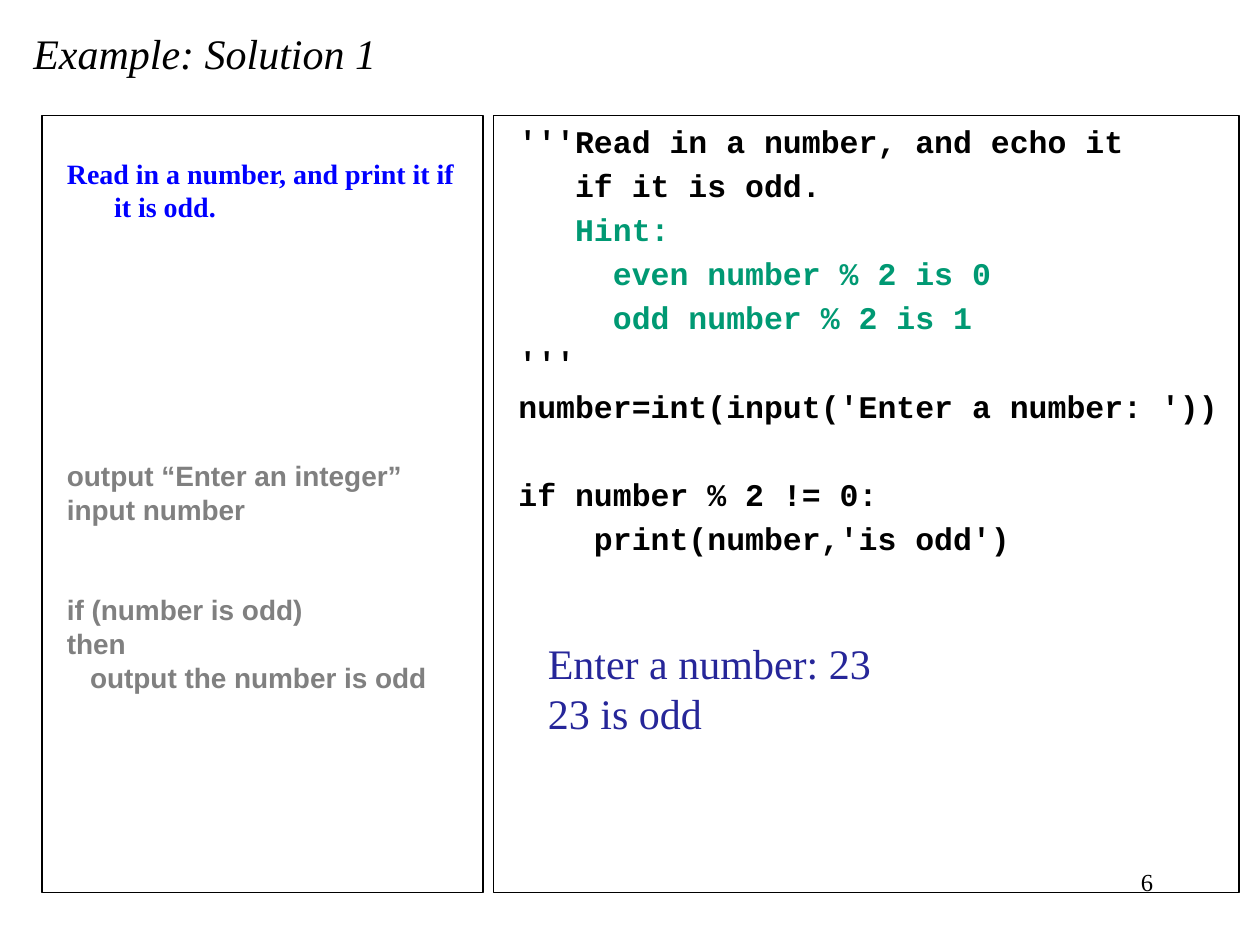
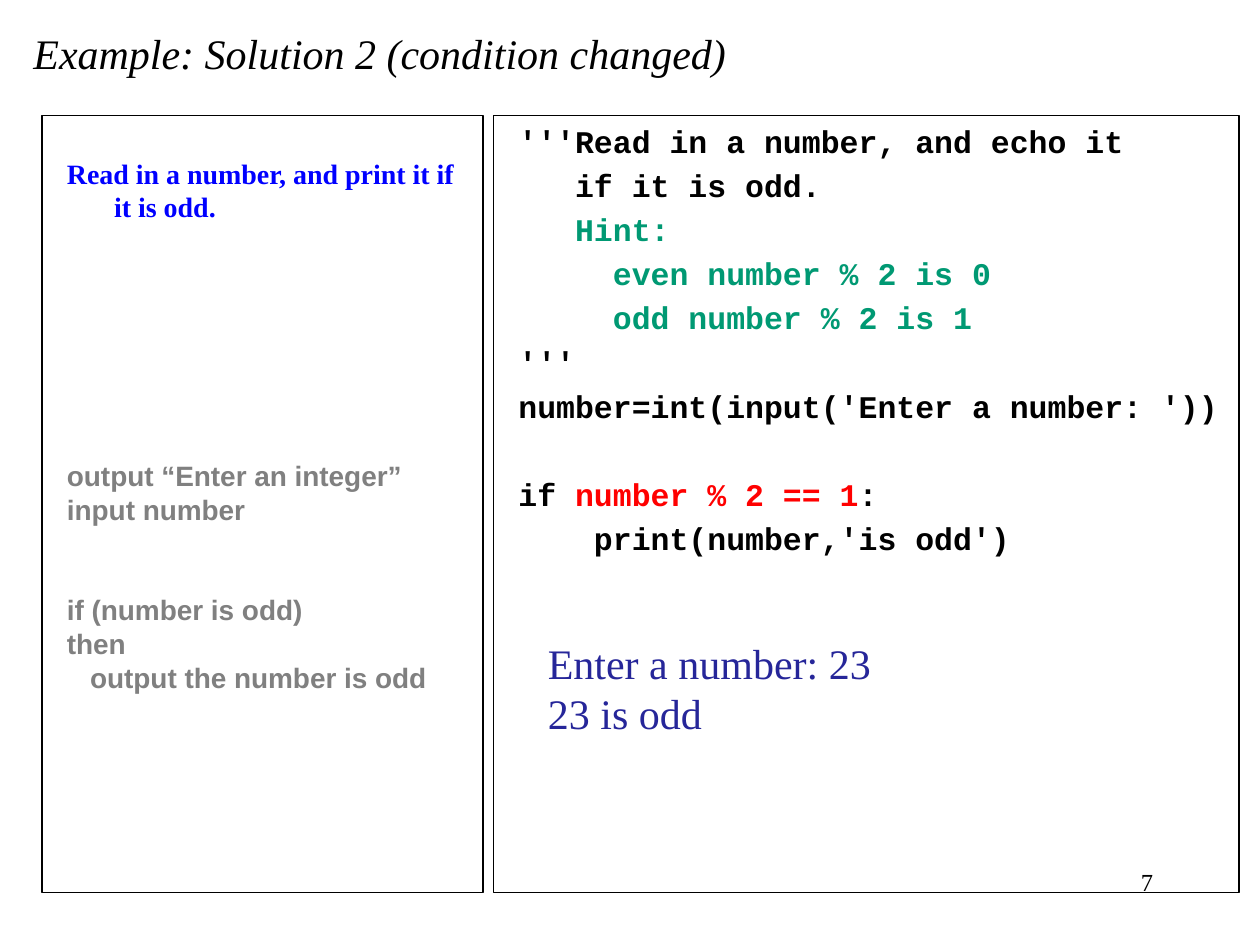
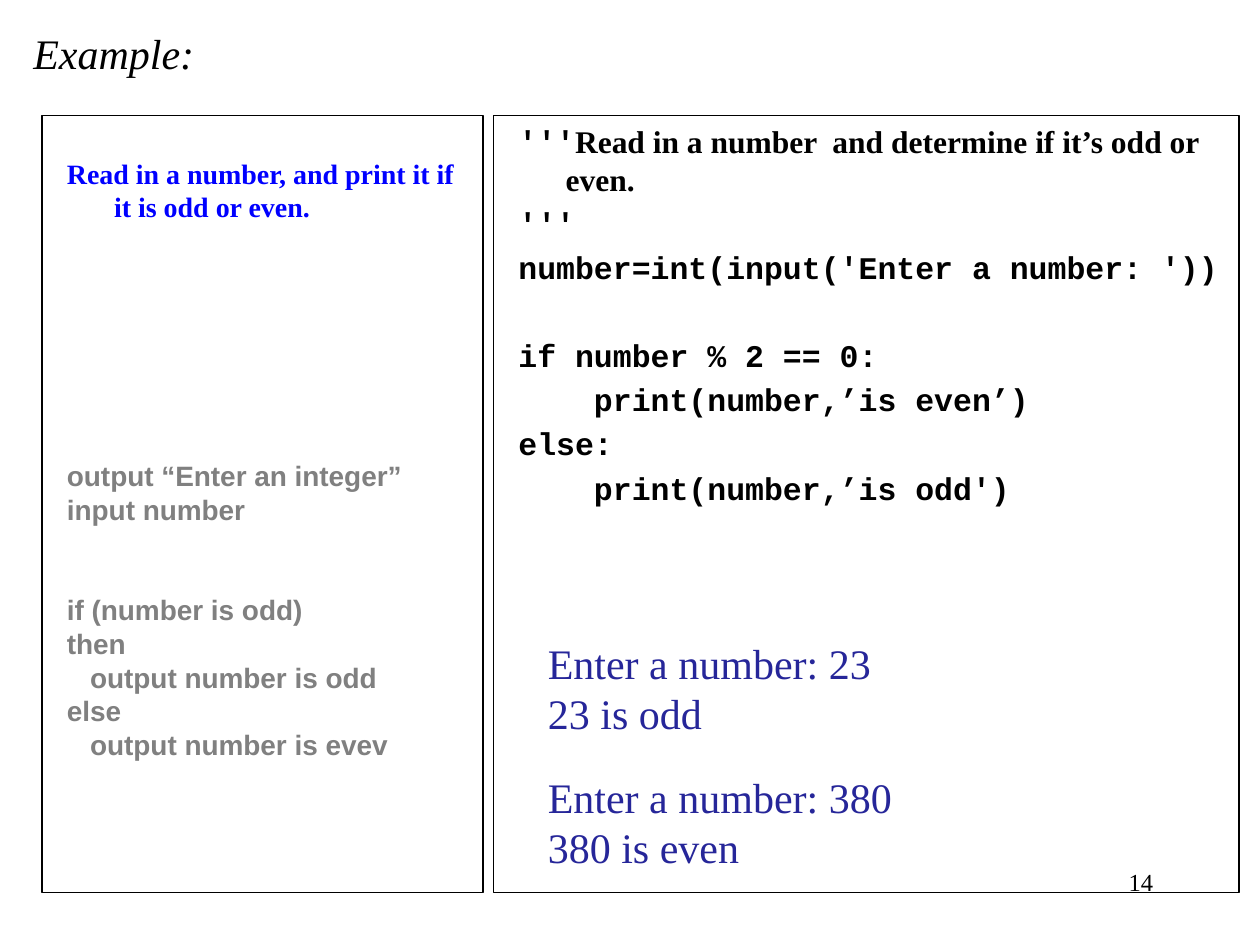
from dataclasses import dataclass
from typing import NamedTuple

from pptx import Presentation
from pptx.dml.color import RGBColor
from pptx.enum.shapes import MSO_SHAPE
from pptx.enum.text import MSO_ANCHOR, PP_ALIGN
from pptx.util import Pt

PX = 9525  # EMU in one px, 96 px to the inch


@dataclass(frozen=True)
class Theme:
    serif: str = "Times New Roman"
    sans: str = "Arial"
    mono: str = "Courier New"
    black: str = "000000"
    blue: str = "0000FF"
    navy: str = "262699"
    green: str = "009973"
    red: str = "FF0000"
    gray: str = "808080"
    big: int = 24
    code: int = 18
    task: int = 16
    small: int = 14
    lead: float = 1.2  # line height as a share of type size
    space: float = 0.2  # gap above a code line as a share of type size


T = Theme()


class Box(NamedTuple):
    left: int
    top: int
    width: int
    height: int


class Run(NamedTuple):
    text: str
    color: str = T.black
    font: str = T.mono


class Line(NamedTuple):
    runs: list[Run]
    skip: int = 0  # empty lines left above


class Page(NamedTuple):
    number: int
    title: str
    width: int
    goal: str
    steps: list[str]
    code: list[Line]
    shows: list[list[str]]


NUMBER = Box(688, 656, 200, 48)
TASK = Box(32, 88, 336, 592)
CODE = Box(376, 88, 568, 592)
TITLE = Box(16, 16, 472, 48)
SHOW = Box(408, 481, 480, 87)
SHOW_STEP = 102
HANG = 36
PAD = 5
TASK_PAD = 31
SIDE_PAD = 19


def write(para, text: str, *, size: int, font: str = T.serif, color: str = T.black,
          bold: bool = False, italic: bool = False) -> None:
    run = para.add_run()
    run.text = text
    face = run.font
    face.name, face.size = font, Pt(size)
    face.bold, face.italic = bold, italic
    face.color.rgb = RGBColor.from_string(color)


def place(box: Box) -> list[int]:
    return [side * PX for side in box]


def label(slide, box: Box, lines: list[str], align=PP_ALIGN.LEFT, **form) -> None:
    frame = slide.shapes.add_textbox(*place(box)).text_frame
    frame.word_wrap = True
    for i, text in enumerate(lines):
        para = frame.paragraphs[0] if i == 0 else frame.add_paragraph()
        para.alignment = align
        write(para, text, **form)


def panel(slide, box: Box, lines: list[Line], size: int, top: int, space: float = 0) -> None:
    """Draw an outlined box of bold lines with hanging indents."""
    shape = slide.shapes.add_shape(MSO_SHAPE.RECTANGLE, *place(box))
    shape.shadow.inherit = False
    shape.fill.background()
    shape.line.color.rgb = RGBColor.from_string(T.black)
    shape.line.width = Pt(0.75)
    frame = shape.text_frame
    frame.word_wrap = True
    frame.vertical_anchor = MSO_ANCHOR.TOP
    frame.margin_left, frame.margin_top = SIDE_PAD * PX, top * PX
    for i, line in enumerate(lines):
        para = frame.paragraphs[0] if i == 0 else frame.add_paragraph()
        para.alignment = PP_ALIGN.LEFT
        props = para._p.get_or_add_pPr()
        props.set("marL", str(HANG * PX))
        props.set("indent", str(-HANG * PX))
        if i:
            gap = space + line.skip * (T.lead + space)
            para.space_before = Pt(round(size * gap, 1))
        for run in line.runs:
            write(para, run.text, size=size, font=run.font, color=run.color, bold=True)


def plain(text: str, color: str = T.black, skip: int = 0) -> Line:
    return Line([Run(text, color)], skip)


def odd_code(test: Run) -> list[Line]:
    return [
        plain("'''Read in a number, and echo it"),
        plain("   if it is odd."),
        plain("   Hint:", T.green),
        plain("     even number % 2 is 0", T.green),
        plain("     odd number % 2 is 1", T.green),
        *ASK,
        Line([Run("if "), test, Run(":")], 1),
        plain("    print(number,'is odd')"),
    ]


def task(page: Page) -> list[Line]:
    skips = {0: 7, 2: 2}
    steps = [Line([Run(step, T.gray, T.sans)], skips.get(i, 0))
             for i, step in enumerate(START + page.steps)]
    return [Line([Run(page.goal, T.blue, T.serif)]), *steps]


def draw(slide, page: Page) -> None:
    label(slide, NUMBER, [str(page.number)], PP_ALIGN.RIGHT, size=T.small)
    panel(slide, CODE, page.code, T.code, PAD, T.space)
    label(slide, TITLE._replace(width=page.width), [page.title], size=T.big, italic=True)
    panel(slide, TASK, task(page), T.task, TASK_PAD)
    for i, lines in enumerate(page.shows):
        box = SHOW._replace(top=SHOW.top + i * SHOW_STEP)
        label(slide, box, lines, size=T.big, color=T.navy)


ASK = [plain("'''"), plain("number=int(input('Enter a number: '))")]
START = ["output “Enter an integer”", "input number", "if (number is odd)", "then"]
ODD_GOAL = "Read in a number, and print it if it is odd."
ODD_STEPS = ["   output the number is odd"]
ODD_SHOW = ["Enter a number: 23", "23 is odd"]

PAGES = [
    Page(6, "Example: Solution 1", TITLE.width, ODD_GOAL, ODD_STEPS,
         odd_code(Run("number % 2 != 0")), [ODD_SHOW]),
    Page(7, "Example: Solution 2 (condition changed)", 608, ODD_GOAL, ODD_STEPS,
         odd_code(Run("number % 2 == 1", T.red)), [ODD_SHOW]),
    Page(14, "Example:", TITLE.width,
         "Read in a number, and print it if it is odd or even.",
         ["   output number is odd", "else", "   output number is evev"],
         [
             Line([Run("'''"),
                   Run("Read in a number  and determine if it’s odd or even.", font=T.serif)]),
             *ASK,
             plain("if number % 2 == 0:", skip=1),
             plain("    print(number,’is even’)"),
             plain("else:"),
             plain("    print(number,’is odd')"),
         ],
         [ODD_SHOW, ["Enter a number: 380", "380 is even"]]),
]


def main() -> None:
    deck = Presentation()
    deck.slide_width, deck.slide_height = 960 * PX, 720 * PX
    for page in PAGES:
        draw(deck.slides.add_slide(deck.slide_layouts[6]), page)
    deck.save("out.pptx")


if __name__ == "__main__":
    main()
